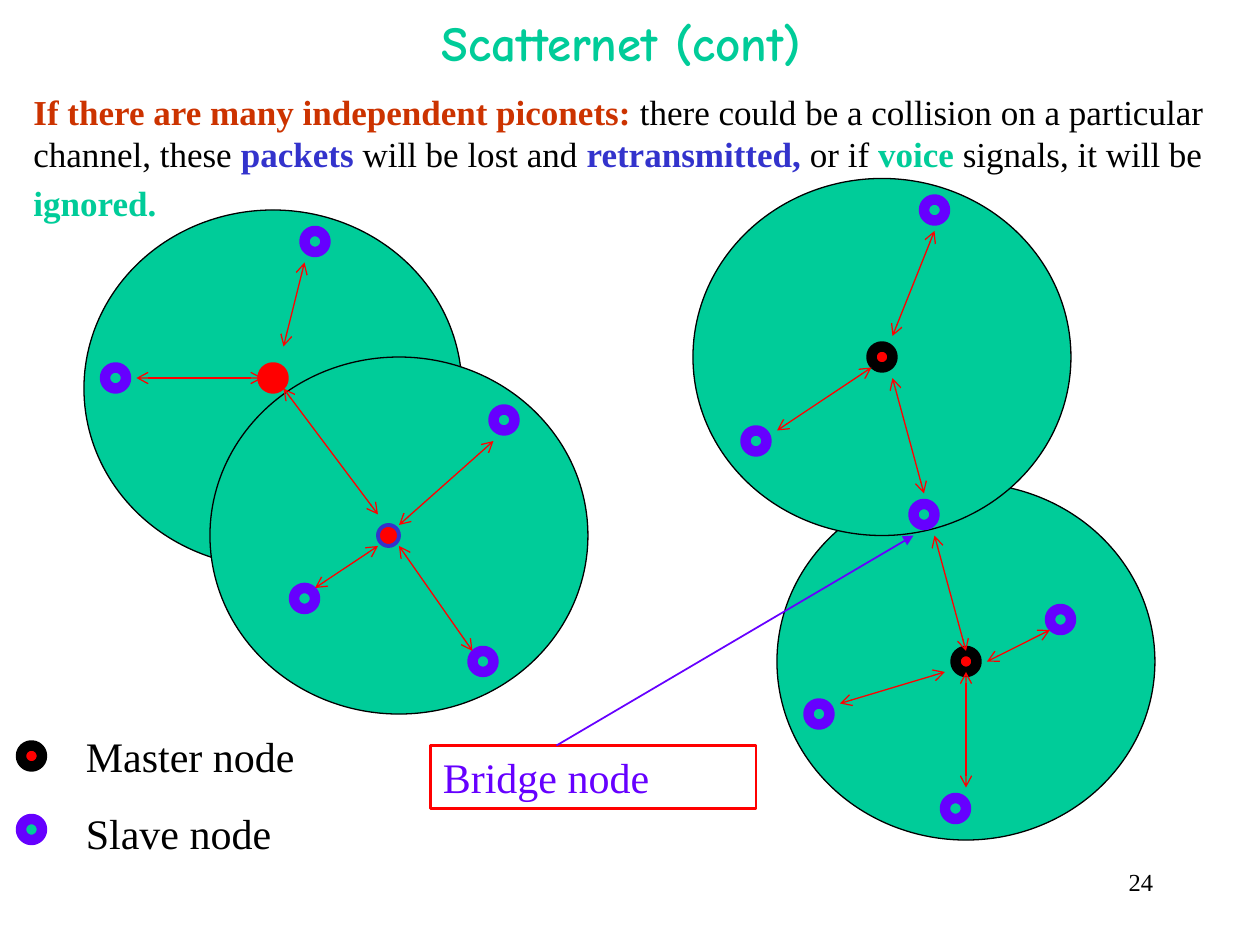
from lxml import etree
from pptx import Presentation
from pptx.dml.color import RGBColor
from pptx.enum.shapes import MSO_CONNECTOR, MSO_SHAPE
from pptx.enum.text import MSO_ANCHOR, PP_ALIGN
from pptx.oxml.ns import qn
from pptx.util import Pt

OVAL, RECT = MSO_SHAPE.OVAL, MSO_SHAPE.RECTANGLE
STRAIGHT = MSO_CONNECTOR.STRAIGHT
LEFT, CENTER, RIGHT = PP_ALIGN.LEFT, PP_ALIGN.CENTER, PP_ALIGN.RIGHT
TOP, MIDDLE = MSO_ANCHOR.TOP, MSO_ANCHOR.MIDDLE

BLACK, RED, GREEN = "000000", "FF0000", "00CC99"
BLUE, VIOLET, RUST = "3333CC", "6600FF", "CC3300"
SERIF, COMIC = "Times New Roman", "Comic Neue"
NODE = 12
PICONET_SIZE = (216, 204)

# Node corners and link ends are offsets from the piconet's origin.
PICONETS = [
    dict(origin=(48, 120), master=(102, 90), ring=(RED, 6),
         slaves=[(126, 12), (12, 90)],
         links=[(102, 96, 30, 96), (114, 102, 168, 174), (114, 78, 126, 30)]),
    dict(origin=(120, 204), master=(96, 96), ring=(BLUE, 2.25),
         slaves=[(162, 30), (150, 168), (48, 132)],
         links=[(96, 108, 60, 132), (108, 108, 150, 168), (108, 96, 162, 48)]),
    dict(origin=(444, 276), master=(102, 96), ring=(BLACK, 6),
         slaves=[(156, 72), (96, 180), (18, 126)],
         links=[(90, 30, 108, 96), (96, 108, 36, 126),
                (108, 108, 108, 174), (120, 102, 156, 84)]),
    dict(origin=(396, 102), master=(102, 96), ring=(BLACK, 6),
         slaves=[(30, 144), (126, 186), (132, 12)],
         links=[(102, 108, 48, 144), (114, 114, 132, 180), (114, 90, 138, 30)]),
]

BODY_RUNS = [
    ("If there are many independent piconets:", RUST, True),
    (" there could be a collision on a particular channel, these ", BLACK, False),
    ("packets", BLUE, True),
    (" will be lost and ", BLACK, False),
    ("retransmitted,", BLUE, True),
    (" or if ", BLACK, False),
    ("voice", GREEN, True),
    (" signals, it will be ", BLACK, False),
    ("ignored.", GREEN, True),
    (" ", BLACK, False),
]


def rgb(color):
    return RGBColor.from_string(color)


def add_shape(s, kind, box, fill, line, width):
    sp = s.shapes.add_shape(kind, *map(Pt, box))
    sp.shadow.inherit = False
    if fill:
        sp.fill.solid()
        sp.fill.fore_color.rgb = rgb(fill)
    else:
        sp.fill.background()
    sp.line.color.rgb = rgb(line)
    sp.line.width = Pt(width)
    return sp


def add_link(s, ends, color, width, head=None, tail=None):
    link = s.shapes.add_connector(STRAIGHT, *map(Pt, ends))
    link.line.color.rgb = rgb(color)
    link.line.width = Pt(width)
    ln = link.line._get_or_add_ln()
    for tag, arrow in (("a:headEnd", head), ("a:tailEnd", tail)):
        if arrow:
            etree.SubElement(ln, qn(tag)).set("type", arrow)
    etree.SubElement(link._element.spPr, qn("a:effectLst"))


def set_font(r, size, color, name=SERIF, bold=False):
    r.font.size = Pt(size)
    r.font.color.rgb = rgb(color)
    r.font.name = name
    r.font.bold = bold


def set_text(sp, text, size, color, name=SERIF, bold=False, align=LEFT, anchor=TOP):
    tf = sp.text_frame
    tf.word_wrap = True
    tf.vertical_anchor = anchor
    tf.text = text
    for i, p in enumerate(tf.paragraphs):
        p.alignment = align
        if i:
            p.space_before = Pt(15)
        for r in p.runs:
            set_font(r, size, color, name, bold)


def add_textbox(s, box):
    return s.shapes.add_textbox(*map(Pt, box))


def add_body(s, box):
    tf = add_textbox(s, box).text_frame
    tf.word_wrap = True
    p = tf.paragraphs[0]
    for text, color, bold in BODY_RUNS:
        r = p.add_run()
        r.text = text
        set_font(r, 20, color, bold=bold)
    p.runs[-1].font.size = Pt(24)


def add_node(s, x, y, fill=GREEN, line=VIOLET, width=6):
    add_shape(s, OVAL, (x, y, NODE, NODE), fill, line, width)


def add_piconet_nodes(s, origin, master, ring, slaves, links):
    x, y = origin
    add_node(s, x + master[0], y + master[1], RED, *ring)
    for dx, dy in slaves:
        add_node(s, x + dx, y + dy)
    for x1, y1, x2, y2 in links:
        add_link(s, (x + x1, y + y1, x + x2, y + y2), RED, 0.75, "arrow", "arrow")


def add_legend(s, x, y):
    add_node(s, x, y + 12, RED, BLACK)
    add_node(s, x, y + 54)
    set_text(add_textbox(s, (x + 30, y, 150, 80)), "Master node\nSlave node", 24, BLACK)


def add_bridge_label(s, box, target):
    set_text(add_shape(s, RECT, box, None, RED, 1.5), "Bridge node", 24, VIOLET)
    add_link(s, (box[0] + 72, box[1], *target), VIOLET, 1, tail="triangle")


def main():
    prs = Presentation()
    prs.slide_width, prs.slide_height = Pt(720), Pt(540)
    s = prs.slides.add_slide(prs.slide_layouts[6])

    set_text(add_textbox(s, (516, 492, 150, 36)), "24", 14, BLACK, align=RIGHT)
    set_text(add_textbox(s, (54, 0, 612, 48)), "Scatternet (cont) ", 28, GREEN,
             COMIC, True, CENTER, MIDDLE)
    for piconet in PICONETS:
        add_shape(s, OVAL, piconet["origin"] + PICONET_SIZE, GREEN, BLACK, 0.75)
    for piconet in PICONETS:
        add_piconet_nodes(s, **piconet)
    add_legend(s, 12, 414)
    add_bridge_label(s, (246, 426, 186, 36), (522, 306))
    add_body(s, (12, 48, 696, 84))
    prs.save("out.pptx")


if __name__ == "__main__":
    main()
